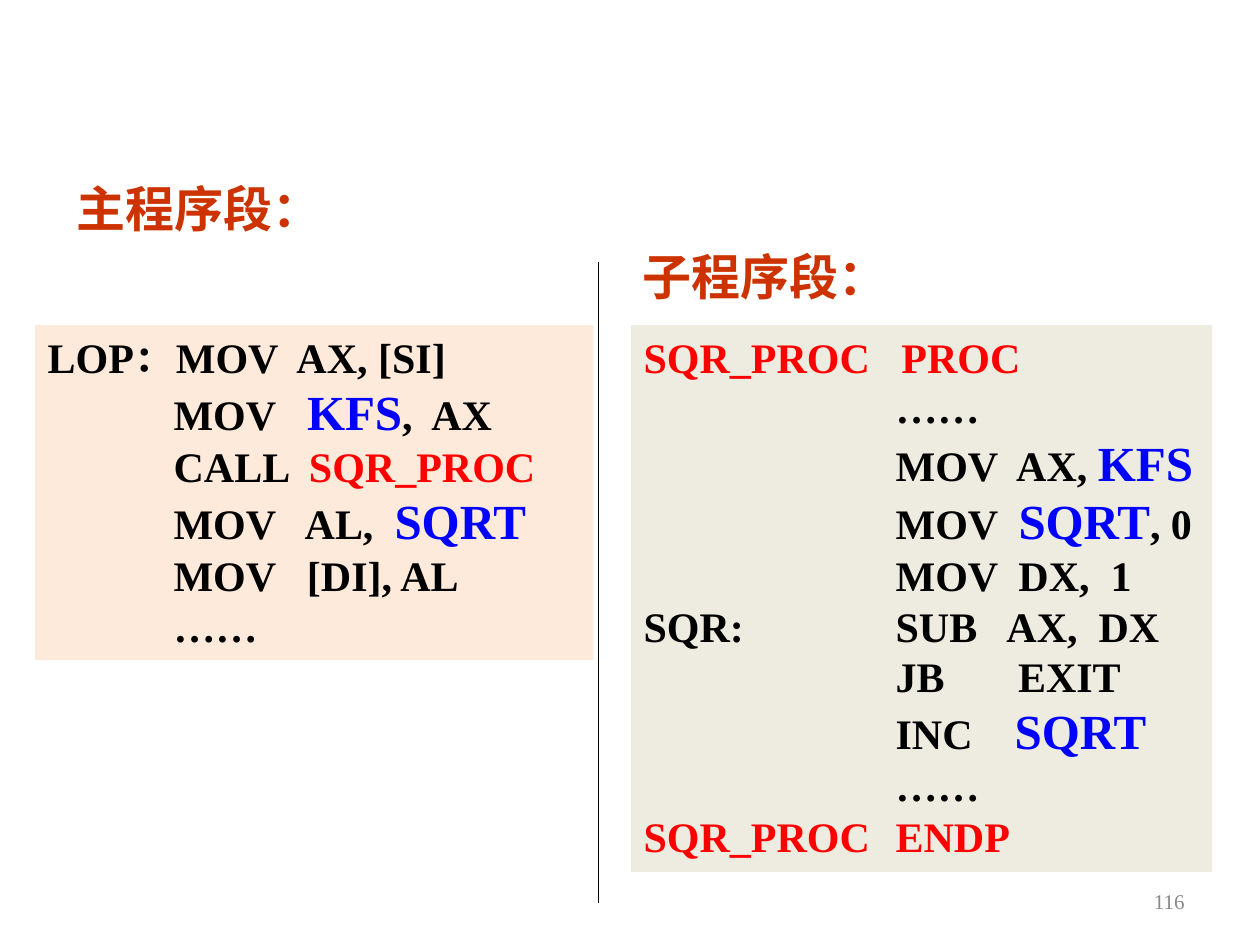
from dataclasses import dataclass

from lxml.etree import SubElement
from pptx import Presentation
from pptx.dml.color import RGBColor
from pptx.enum.shapes import MSO_CONNECTOR, MSO_SHAPE
from pptx.enum.text import MSO_ANCHOR, PP_ALIGN
from pptx.oxml.ns import qn
from pptx.util import Inches, Pt

CODE_FONT = "Times New Roman"
HEADING_FONT = "Noto Sans CJK SC"
TAB_STOPS = (1, 2)


@dataclass(frozen=True)
class Style:
    size: int
    color: str
    font: str = CODE_FONT
    bold: bool = True


PLAIN = Style(24, "000000")
PROCEDURE = Style(24, "FF0000")
VARIABLE = Style(28, "0000FF")
HEADING = Style(28, "CC3300", HEADING_FONT)
PAGE_NUMBER = Style(12, "898989", bold=False)


@dataclass(frozen=True)
class Span:
    text: str
    style: Style = PLAIN


@dataclass(frozen=True)
class Heading:
    left: float
    top: float
    text: str


@dataclass(frozen=True)
class Panel:
    left: float
    width: float
    height: float
    fill: str
    lines: list[list[Span]]


KFS = Span("KFS", VARIABLE)
SQRT = Span("SQRT", VARIABLE)

HEADINGS = [
    Heading(0.51, 1.37, "主程序段："),
    Heading(5, 1.91, "子程序段："),
]

PANELS = [
    Panel(0.28, 4.43, 2.66, "FDEADA", [
        [Span("LOP：MOV  AX, [SI]")],
        [Span("\tMOV   "), KFS, Span(",  AX")],
        [Span("\tCALL  "), Span("SQR_PROC", PROCEDURE)],
        [Span("\tMOV   AL,  "), SQRT],
        [Span("\tMOV   [DI], AL")],
        [Span("\t……")],
    ]),
    Panel(5.01, 4.61, 4.34, "EEECE1", [
        [Span("SQR_PROC   PROC", PROCEDURE)],
        [Span("\t\t……")],
        [Span("\t\tMOV  AX, "), KFS],
        [Span("\t\tMOV  "), SQRT, Span(", 0")],
        [Span("\t\tMOV  DX,  1")],
        [Span("SQR:\t\tSUB   AX,  DX")],
        [Span("\t\tJB       EXIT")],
        [Span("\t\tINC    "), SQRT],
        [Span("\t\t……")],
        [Span("SQR_PROC\tENDP", PROCEDURE)],
    ]),
]


def rgb(value: str) -> RGBColor:
    return RGBColor.from_string(value)


def add_span(para, span: Span) -> None:
    run = para.add_run()
    run.text = span.text
    style = span.style
    run.font.size = Pt(style.size)
    run.font.bold = style.bold
    run.font.color.rgb = rgb(style.color)
    run.font.name = style.font
    east_asian = SubElement(run.font._element, qn("a:ea"))
    east_asian.set("typeface", style.font)


def set_tab_stops(para) -> None:
    tabs = SubElement(para._p.get_or_add_pPr(), qn("a:tabLst"))
    for position in TAB_STOPS:
        tab = SubElement(tabs, qn("a:tab"))
        tab.set("pos", str(Inches(position)))
        tab.set("algn", "l")


def add_label(page, left: float, top: float, width: float, height: float,
              span: Span, align: PP_ALIGN = PP_ALIGN.LEFT,
              anchor: MSO_ANCHOR = MSO_ANCHOR.TOP) -> None:
    box = page.shapes.add_textbox(
        Inches(left), Inches(top), Inches(width), Inches(height))
    box.text_frame.vertical_anchor = anchor
    box.text_frame.word_wrap = align == PP_ALIGN.RIGHT
    para = box.text_frame.paragraphs[0]
    para.alignment = align
    add_span(para, span)


def add_panel(page, panel: Panel) -> None:
    box = page.shapes.add_shape(
        MSO_SHAPE.RECTANGLE, Inches(panel.left), Inches(2.58),
        Inches(panel.width), Inches(panel.height))
    box.shadow.inherit = False
    box.fill.solid()
    box.fill.fore_color.rgb = rgb(panel.fill)
    box.line.fill.background()
    frame = box.text_frame
    frame.word_wrap = True
    frame.vertical_anchor = MSO_ANCHOR.TOP
    for index, spans in enumerate(panel.lines):
        para = frame.add_paragraph() if index else frame.paragraphs[0]
        set_tab_stops(para)
        para.alignment = PP_ALIGN.LEFT
        for span in spans:
            add_span(para, span)


def add_divider(page) -> None:
    divider = page.shapes.add_connector(
        MSO_CONNECTOR.STRAIGHT,
        Inches(4.75), Inches(2.08), Inches(4.75), Inches(7.17))
    divider.line.color.rgb = rgb("000000")
    divider.line.width = Pt(0.75)
    SubElement(divider._element.spPr, qn("a:effectLst"))


def main() -> None:
    deck = Presentation()
    deck.slide_width = Inches(10)
    deck.slide_height = Inches(7.5)
    page = deck.slides.add_slide(deck.slide_layouts[6])
    add_label(page, 7.17, 6.95, 2.33, 0.4, Span("116", PAGE_NUMBER),
              PP_ALIGN.RIGHT, MSO_ANCHOR.MIDDLE)
    for heading in HEADINGS:
        add_label(page, heading.left, heading.top, 2.16, 0.57,
                  Span(heading.text, HEADING))
    for panel in PANELS:
        add_panel(page, panel)
    add_divider(page)
    deck.save("out.pptx")


if __name__ == "__main__":
    main()
